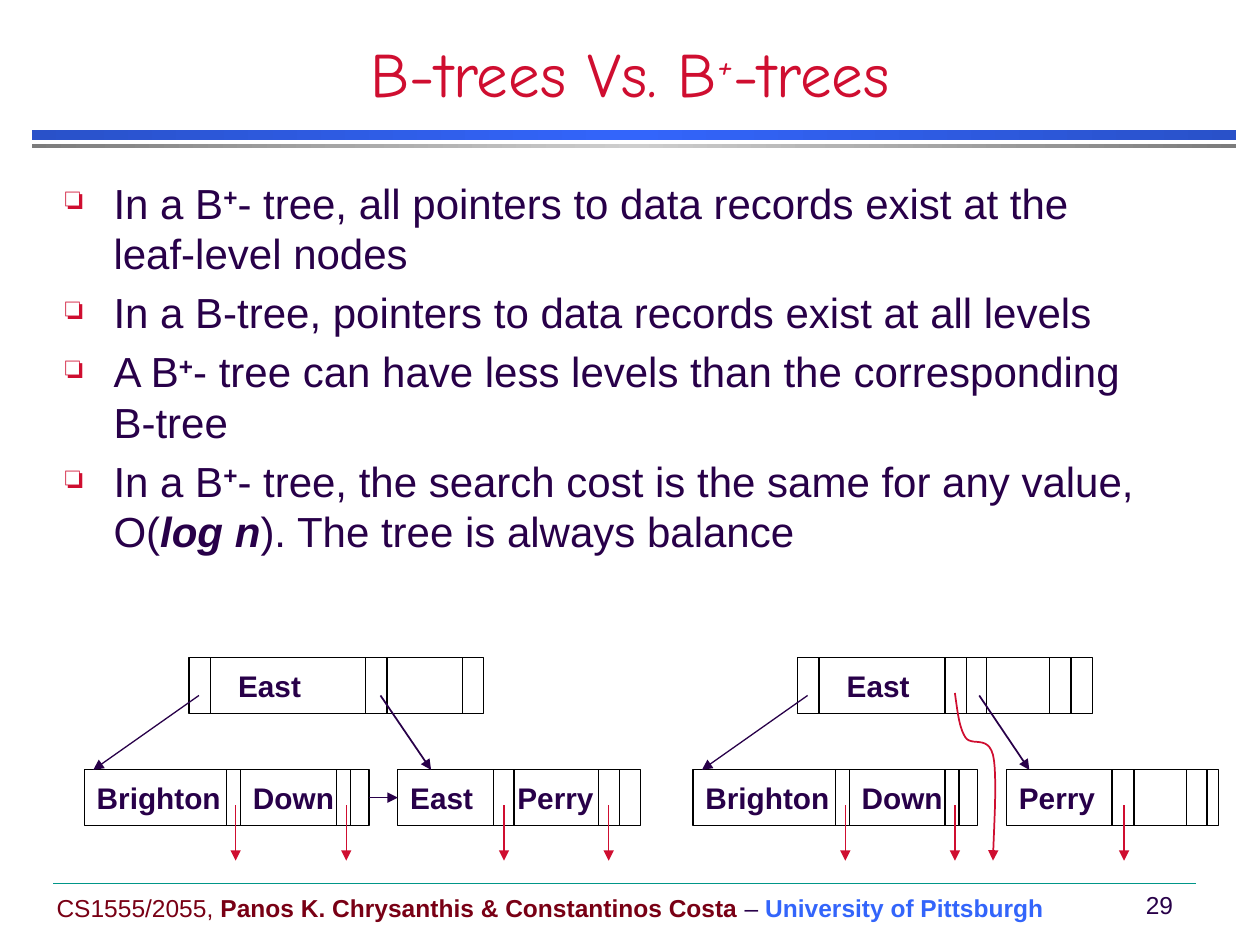
from copy import deepcopy
from dataclasses import dataclass

from lxml import etree
from pptx import Presentation
from pptx.dml.color import RGBColor
from pptx.enum.shapes import MSO_CONNECTOR, MSO_SHAPE
from pptx.enum.text import MSO_ANCHOR, PP_ALIGN
from pptx.oxml.ns import qn
from pptx.util import Cm, Pt

STRAIGHT = MSO_CONNECTOR.STRAIGHT
RECTANGLE = MSO_SHAPE.RECTANGLE
TOP, MIDDLE, BOTTOM = MSO_ANCHOR.TOP, MSO_ANCHOR.MIDDLE, MSO_ANCHOR.BOTTOM
LEFT, CENTER = PP_ALIGN.LEFT, PP_ALIGN.CENTER


@dataclass(frozen=True)
class Theme:
    red: str = "CF0E30"
    ink: str = "280049"
    maroon: str = "790015"
    blue: str = "3365FB"
    black: str = "000000"
    white: str = "FFFFFF"
    teal: str = "009688"
    blue_bar: tuple = ("2951C9", "3365FB", "2951C9")
    grey_bar: tuple = ("7C7C7C", "CECECE", "7C7C7C")
    title_font: str = "Comic Neue"
    body_font: str = "Arial"
    title_size: int = 36
    body_size: int = 24
    key_size: int = 17
    footer_size: int = 14


THEME = Theme()

BULLETS = [
    [("In a B", ""), ("+", "b^"),
     ("- tree, all pointers to data records exist at the leaf-level nodes", "")],
    [("In a B-tree, pointers to data records exist at all levels", "")],
    [("A B", ""), ("+", "b^"),
     ("- tree can have less levels than the corresponding B-tree", "")],
    [("In a B", ""), ("+", "b^"),
     ("- tree, the search cost is the same for any value, O(", ""),
     ("log n", "bi"), ("). The tree is always balance", "")],
]

NODE_HEIGHT = 1.12
LEAF_TOP = 2.26
LEFT_LEAF = dict(left=0, width=5.74, keys="Brighton\tDown", tab=3.15,
                 dividers=[2.87, 3.15, 5.08, 5.36])

B_PLUS_TREE = dict(
    root_dividers=[0.43, 3.56, 3.99, 5.51],
    right_leaf=dict(left=6.32, width=4.9, keys="East\tPerry", tab=2.16,
                    dividers=[1.93, 2.34, 4.04, 4.47]),
    right_child=(5.97, 6.99),
    data_pointers=[3.05, 5.28, 8.46, 10.57])

B_TREE = dict(
    root_dividers=[0.43, 2.97, 3.4, 3.81, 5.08, 5.51],
    right_leaf=dict(left=6.32, width=4.27, keys="Perry",
                    dividers=[2.13, 2.57, 3.63, 4.04]),
    right_child=(5.77, 6.78),
    data_pointers=[3.07, 5.28, 8.69])

ROOT_POINTER = [
    [(5.28, 0.71), (5.33, 1.04), (5.36, 1.4), (5.49, 1.6)],
    [(5.49, 1.6), (5.61, 1.8), (5.94, 1.55), (6.05, 1.96)],
    [(6.05, 1.96), (6.15, 2.36), (6.05, 3.73), (6.05, 4.09)],
]


def color(code):
    return RGBColor.from_string(code)


def format_span(span, size, code, font=THEME.body_font, style=""):
    span.font.size = Pt(size)
    span.font.name = font
    span.font.color.rgb = color(code)
    span.font.bold = "b" in style
    span.font.italic = "i" in style
    if "^" in style:
        span.font._element.set("baseline", "30000")


def write_spans(para, parts, size, code, font=THEME.body_font):
    for text, style, *own_code in parts:
        span = para.add_run()
        span.text = text
        format_span(span, size, own_code[0] if own_code else code, font, style)


def add_text_box(page, left, top, width, height, anchor):
    box = page.shapes.add_textbox(Cm(left), Cm(top), Cm(width), Cm(height))
    box.text_frame.word_wrap = True
    box.text_frame.vertical_anchor = anchor
    return box


def style_line(shape, code, width, arrow):
    shape.line.color.rgb = color(code)
    shape.line.width = Pt(width)
    if arrow:
        outline = shape.line._get_or_add_ln()
        etree.SubElement(outline, qn("a:tailEnd"), type="triangle")


def add_line(page, start, end, code, width=0.75, arrow=False):
    line = page.shapes.add_connector(STRAIGHT, *map(Cm, start + end))
    style_line(line, code, width, arrow)
    etree.SubElement(line._element.spPr, qn("a:effectLst"))


def add_bar(page, left, top, width, height, codes):
    bar = page.shapes.add_shape(RECTANGLE, Cm(left), Cm(top), Cm(width), Cm(height))
    bar.shadow.inherit = False
    bar.line.fill.background()
    bar.fill.gradient()
    bar.fill.gradient_angle = 0
    first = bar._element.spPr.find(".//" + qn("a:gs"))
    first.addnext(deepcopy(first))
    for index, (stop, code) in enumerate(zip(bar.fill.gradient_stops, codes)):
        stop.position = index / 2
        stop.color.rgb = color(code)


def draw_header(page, left, top, width):
    title = page.shapes.title
    title.left, title.top = Cm(left + 1.27), Cm(top)
    title.width, title.height = Cm(21.59), Cm(1.91)
    title.text_frame.vertical_anchor = BOTTOM
    para = title.text_frame.paragraphs[0]
    para.alignment = CENTER
    write_spans(para, [("B-trees Vs. B", ""), ("+", "i^"), ("-trees", "")],
                THEME.title_size, THEME.red, THEME.title_font)
    add_bar(page, left, top + 2.19, width, 0.2, THEME.blue_bar)
    add_bar(page, left, top + 2.47, width, 0.08, THEME.grey_bar)


def add_bullet(para):
    properties = para._p.get_or_add_pPr()
    properties.set("marL", str(Cm(0.97)))
    properties.set("indent", str(-Cm(0.97)))
    bullet_color = etree.SubElement(properties, qn("a:buClr"))
    etree.SubElement(bullet_color, qn("a:srgbClr"), val=THEME.red)
    etree.SubElement(properties, qn("a:buSzPct"), val="75000")
    etree.SubElement(properties, qn("a:buChar"), char="❏")


def draw_bullets(page, left, top, width, height):
    frame = add_text_box(page, left, top, width, height, TOP).text_frame
    for index, parts in enumerate(BULLETS):
        para = frame.add_paragraph() if index else frame.paragraphs[0]
        add_bullet(para)
        if index:
            para.space_before = Pt(5)
        write_spans(para, parts, THEME.body_size, THEME.ink)


def draw_node(page, left, top, width, keys, dividers, indent=0, tab=None):
    node = page.shapes.add_shape(RECTANGLE, Cm(left), Cm(top), Cm(width), Cm(NODE_HEIGHT))
    node.shadow.inherit = False
    node.fill.solid()
    node.fill.fore_color.rgb = color(THEME.white)
    style_line(node, THEME.black, 0.75, False)
    node.text_frame.vertical_anchor = MIDDLE
    para = node.text_frame.paragraphs[0]
    para.text = keys
    para.alignment = LEFT
    properties = para._p.get_or_add_pPr()
    properties.set("marL", str(Cm(indent)))
    if tab:
        tabs = etree.SubElement(properties, qn("a:tabLst"))
        etree.SubElement(tabs, qn("a:tab"), pos=str(Cm(tab)), algn="l")
    format_span(para.runs[0], THEME.key_size, THEME.ink, style="b")
    for offset in dividers:
        add_line(page, (left + offset, top), (left + offset, top + NODE_HEIGHT), THEME.black)


def draw_tree(page, left, top, root_dividers, right_leaf, right_child, data_pointers):
    draw_node(page, left + 2.11, top, 5.94, "East", root_dividers, indent=0.74)
    for leaf in (LEFT_LEAF, right_leaf):
        draw_node(page, **{**leaf, "left": left + leaf["left"], "top": top + LEAF_TOP})
    for (start, end), weight in (((2.31, 0.18), 0.75), (right_child, 1)):
        add_line(page, (left + start, top + 0.76), (left + end, top + LEAF_TOP),
                 THEME.ink, weight, arrow=True)
    for offset in data_pointers:
        add_line(page, (left + offset, top + 2.97), (left + offset, top + 4.09),
                 THEME.red, arrow=True)


def draw_leaf_link(page, left, top):
    level = top + LEAF_TOP + NODE_HEIGHT / 2
    add_line(page, (left + 5.74, level), (left + 6.32, level), THEME.ink, arrow=True)


def curve_point(controls, t):
    weights = ((1 - t) ** 3, 3 * t * (1 - t) ** 2, 3 * t ** 2 * (1 - t), t ** 3)
    return [sum(w * value for w, value in zip(weights, axis)) for axis in zip(*controls)]


def draw_root_pointer(page, left, top):
    steps = 12
    points = [curve_point(controls, step / steps)
              for controls in ROOT_POINTER for step in range(steps + 1)]
    start, *rest = [(Cm(left + x), Cm(top + y)) for x, y in points]
    builder = page.shapes.build_freeform(*start)
    builder.add_line_segments(rest, close=False)
    pointer = builder.convert_to_shape()
    pointer.shadow.inherit = False
    pointer.fill.background()
    style_line(pointer, THEME.red, 1, True)


def draw_footer(page, left, top, width):
    add_line(page, (left + 0.18, top), (left + 0.18 + 23.04, top), THEME.teal, 0.25)
    credit = add_text_box(page, left, top + 0.07, 21.59, 0.85, MIDDLE)
    write_spans(credit.text_frame.paragraphs[0], [
        ("CS1555/2055, ", ""),
        ("Panos K. Chrysanthis & Constantinos Costa", "b"),
        (" – ", "", THEME.ink),
        ("University of Pittsburgh", "b", THEME.blue),
    ], THEME.footer_size, THEME.maroon)
    number = add_text_box(page, left + width - 1.25, top, 1.25, 0.84, MIDDLE)
    para = number.text_frame.paragraphs[0]
    para.text = "29"
    para.alignment = CENTER
    format_span(para.runs[0], THEME.footer_size, THEME.ink)


def main():
    deck = Presentation()
    deck.slide_width, deck.slide_height = Cm(25.4), Cm(19.05)
    page = deck.slides.add_slide(deck.slide_layouts[5])
    draw_header(page, 0.64, 0.43, 24.28)
    draw_bullets(page, 1.07, 3.45, 22.43, 8.46)
    draw_tree(page, 1.7, 13.26, **B_PLUS_TREE)
    draw_leaf_link(page, 1.7, 13.26)
    draw_tree(page, 13.97, 13.26, **B_TREE)
    draw_root_pointer(page, 13.97, 13.26)
    draw_footer(page, 0.89, 17.81, 23.11)
    deck.save("out.pptx")


if __name__ == "__main__":
    main()
